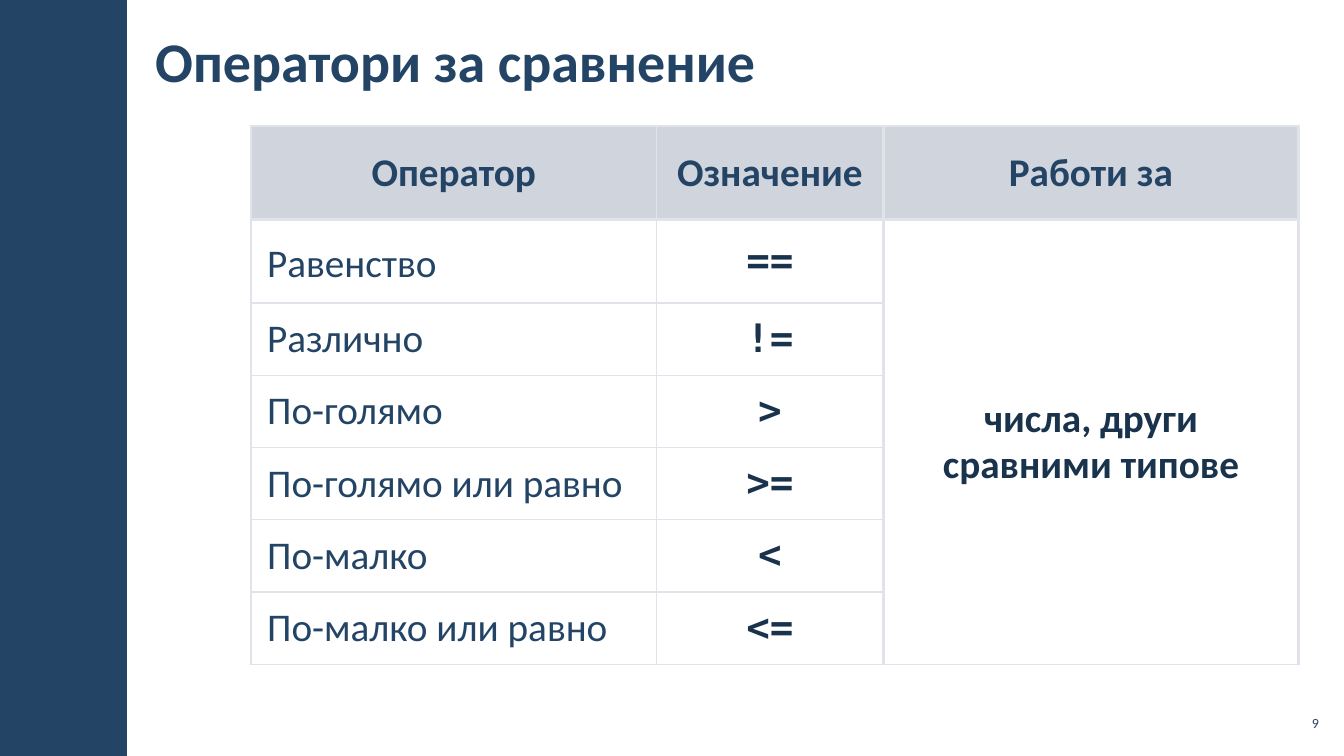
from lxml.etree import SubElement
from pptx import Presentation
from pptx.dml.color import RGBColor
from pptx.enum.shapes import MSO_SHAPE
from pptx.enum.text import MSO_ANCHOR, PP_ALIGN
from pptx.oxml.ns import qn
from pptx.util import Emu, Inches, Pt

WIDTH, HEIGHT = Inches(13.33), Inches(7.5)
NAVY, DARK, HEADER, GRID = "234465", "1A334C", "A3ABBC", "E0E3E9"
SANS, MONO = "Calibri", "DejaVu Sans Mono"
HEADINGS = ["Оператор", "Означение", "Работи за"]
OPERATORS = [
    ("Равенство", "=="),
    ("Различно", "!="),
    ("По-голямо", ">"),
    ("По-голямо или равно", ">="),
    ("По-малко", "<"),
    ("По-малко или равно", "<="),
]
COL_SHARES = [30.16, 16.88, 30.9]
ROW_SHARES = [12.4, 11] + [9.56] * 5


def across(share):
    """Percentage of the slide's width."""
    return Emu(int(WIDTH * share / 100))


def down(share):
    """Percentage of the slide's height."""
    return Emu(int(HEIGHT * share / 100))


def place(left, top, width, height):
    return across(left), down(top), across(width), down(height)


def set_color(target, color):
    target.rgb = RGBColor.from_string(color)


def set_margins(box, side, edge):
    box.margin_left = box.margin_right = Inches(side)
    box.margin_top = box.margin_bottom = Inches(edge)


def write(tf, text, size, color=NAVY, bold=False, font=SANS, align=PP_ALIGN.LEFT):
    tf.text = text
    p = tf.paragraphs[0]
    p.alignment = align
    p.space_before = Pt(0)
    f = p.runs[0].font
    f.name, f.size, f.bold = font, Pt(size), bold
    set_color(f.color, color)
    return p


def add_sidebar(slide):
    sp = slide.shapes.add_shape(MSO_SHAPE.RECTANGLE, *place(0, 0, 9.45, 100))
    sp.shadow.inherit = False
    sp.fill.solid()
    set_color(sp.fill.fore_color, NAVY)
    sp.line.fill.background()


def add_title(slide, text):
    sp = slide.shapes.title
    sp.left, sp.top, sp.width, sp.height = place(10.65, 1.47, 68.87, 12.93)
    tf = sp.text_frame
    tf.vertical_anchor = MSO_ANCHOR.MIDDLE
    set_margins(tf, 0.12, 0.04)
    write(tf, text, 40, bold=True)


def add_page_number(slide, number):
    tf = slide.shapes.add_textbox(*place(94.9, 93.33, 3.53, 4.53)).text_frame
    tf.word_wrap = True
    tf.vertical_anchor = MSO_ANCHOR.MIDDLE
    set_margins(tf, 0.04, 0.04)
    write(tf, number, 10, align=PP_ALIGN.RIGHT)


def set_borders(cell, row, col):
    """Heavy lines frame the header and the last column, thin ones the rest."""
    heavy = {"L": col != 1, "R": col > 0, "T": row <= 1, "B": row == 0}
    tc_pr = cell._tc.get_or_add_tcPr()
    for side, is_heavy in heavy.items():
        ln = SubElement(tc_pr, qn(f"a:ln{side}"), w=str(Pt(2.25 if is_heavy else 1)))
        fill = SubElement(ln, qn("a:solidFill"))
        SubElement(fill, qn("a:srgbClr"), val=GRID)


def fill_header(cell):
    cell.fill.solid()
    set_color(cell.fill.fore_color, HEADER)
    color = cell._tc.tcPr.find(qn("a:solidFill")).find(qn("a:srgbClr"))
    SubElement(color, qn("a:alpha"), val="50000")


def write_cell(cell, text, **style):
    p = write(cell.text_frame, text, 28, **style)
    p.line_spacing = 0.95
    return p


def add_operator_table(slide):
    area = place(18.68, 16.67, sum(COL_SHARES), sum(ROW_SHARES))
    table = slide.shapes.add_table(len(ROW_SHARES), len(COL_SHARES), *area).table
    table.first_row = table.horz_banding = False
    for column, share in zip(table.columns, COL_SHARES):
        column.width = across(share)
    for table_row, share in zip(table.rows, ROW_SHARES):
        table_row.height = down(share)

    # Frame and background
    for row in range(len(ROW_SHARES)):
        for col in range(len(COL_SHARES)):
            cell = table.cell(row, col)
            cell.vertical_anchor = MSO_ANCHOR.MIDDLE
            set_margins(cell, 0.16, 0.05)
            set_borders(cell, row, col)
            if row == 0:
                fill_header(cell)
            else:
                cell.fill.background()

    # Wording
    for col, heading in enumerate(HEADINGS):
        write_cell(table.cell(0, col), heading, bold=True, align=PP_ALIGN.CENTER)
    for row, (name, sign) in enumerate(OPERATORS, start=1):
        p = write_cell(table.cell(row, 0), name)
        if row == 1:
            p.line_spacing = Pt(38)
        write_cell(table.cell(row, 1), sign, color=DARK, bold=True, font=MONO,
                   align=PP_ALIGN.CENTER)
    types = table.cell(1, 2)
    types.merge(table.cell(len(OPERATORS), 2))
    write_cell(types, "числа, други сравними типове", color=DARK, bold=True,
               align=PP_ALIGN.CENTER)


def main():
    prs = Presentation()
    prs.slide_width, prs.slide_height = WIDTH, HEIGHT
    slide = prs.slides.add_slide(prs.slide_layouts[5])
    add_sidebar(slide)
    add_title(slide, "Оператори за сравнение")
    add_operator_table(slide)
    add_page_number(slide, "9")
    prs.save("out.pptx")


if __name__ == "__main__":
    main()
